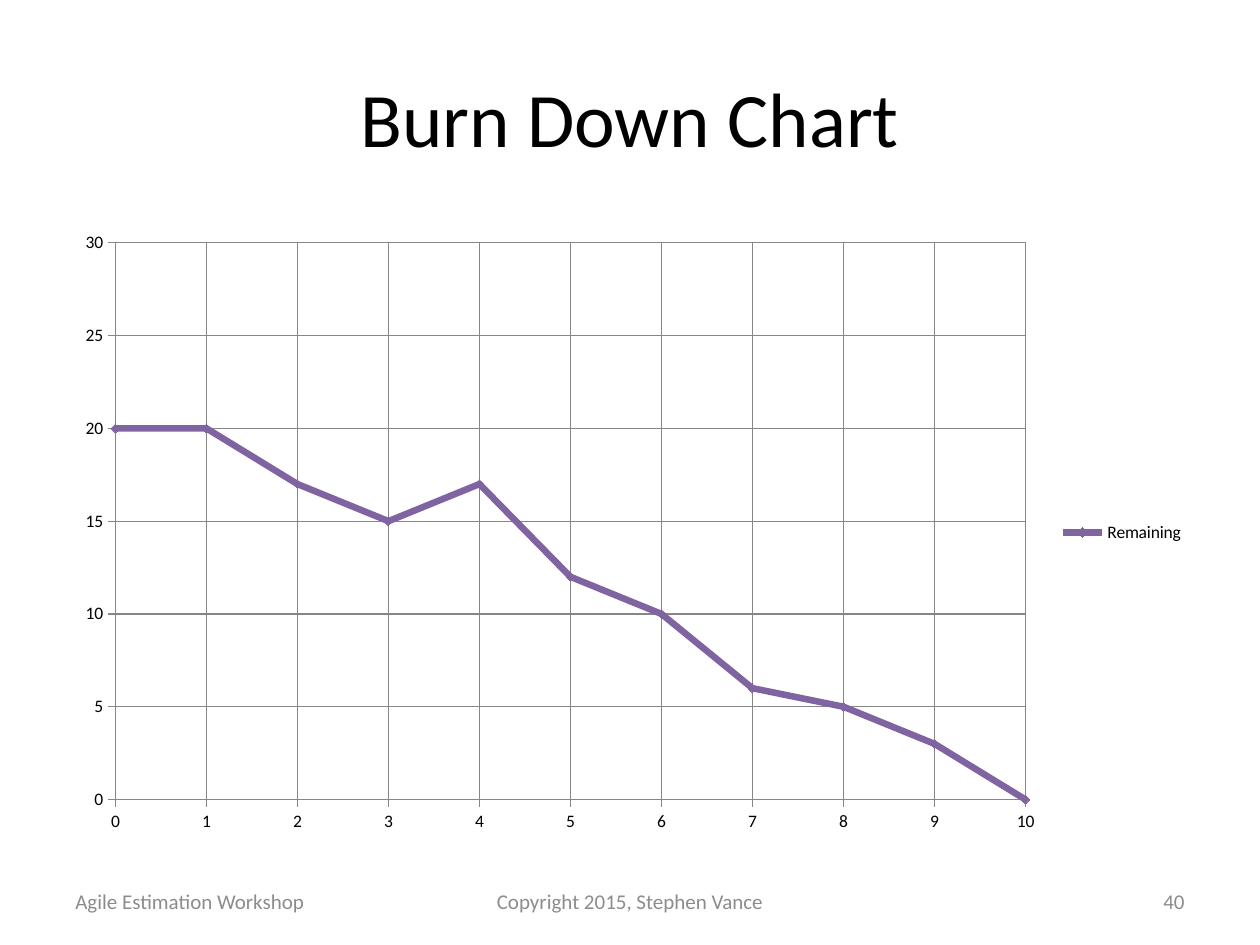
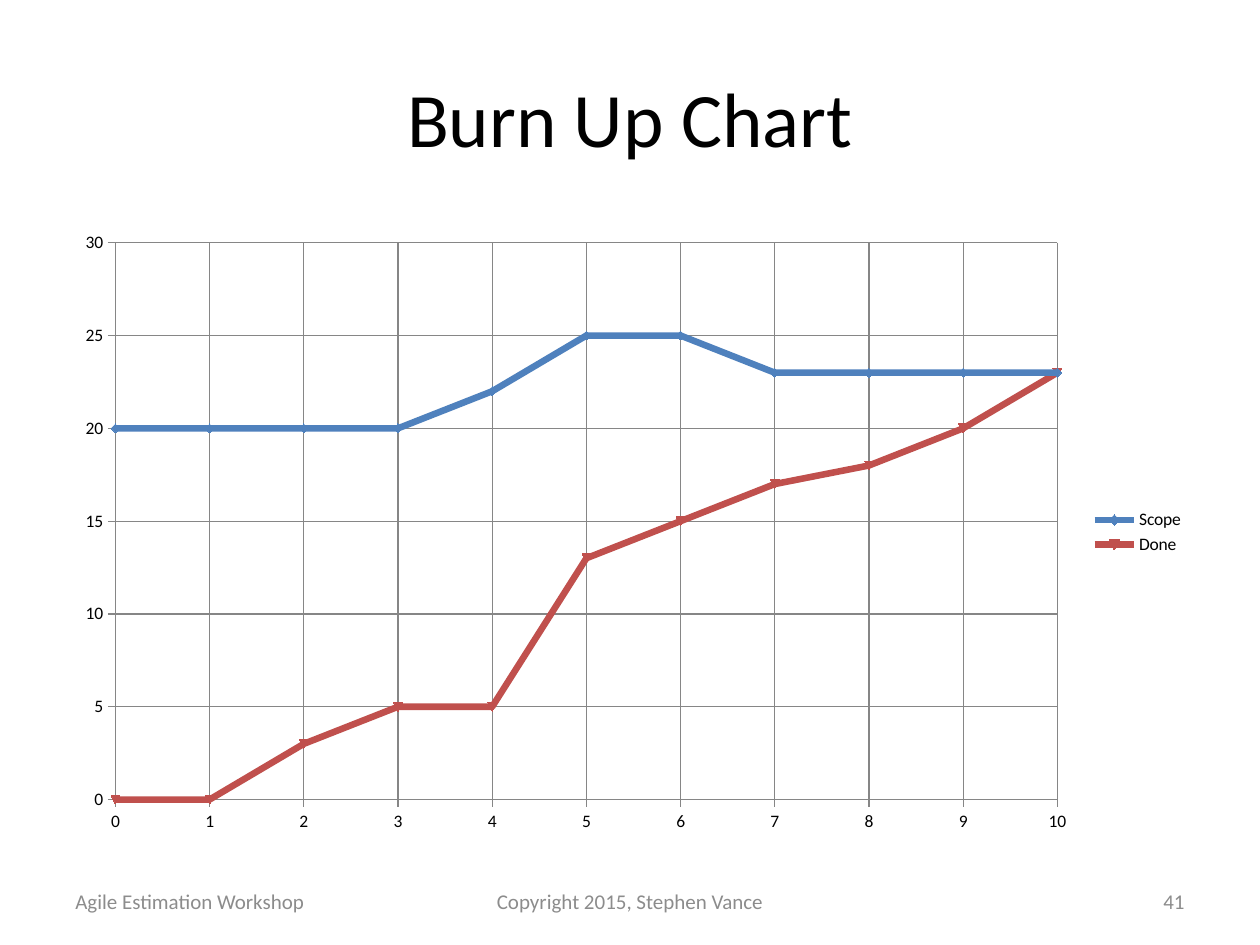
from pptx import Presentation
from pptx import util as u
from pptx.chart.data import XyChartData
from pptx.dml.color import RGBColor
from pptx.enum import chart as ch
from pptx.enum import text as t

FONT = "Calibri"
BLACK = RGBColor(0x00, 0x00, 0x00)
FOOTER_GRAY = RGBColor(0x8C, 0x8C, 0x8C)
GRID_GRAY = RGBColor(0x86, 0x86, 0x86)
PURPLE = RGBColor(0x80, 0x64, 0xA2)
BLUE = RGBColor(0x4F, 0x81, 0xBD)
RED = RGBColor(0xC0, 0x50, 0x4D)

WIDTH, HEIGHT = 10, 7.5
MARGIN = 0.5
CONTENT_WIDTH = WIDTH - 2 * MARGIN
FOOTER_TOP, FOOTER_HEIGHT = 6.95, 0.4
SIDE_FOOTER_WIDTH, MID_FOOTER_WIDTH = 2.33, 3.17

FIRST_PAGE = 40
BURN_CHARTS = [
    ("Burn Down Chart", [
        ("Remaining", PURPLE, [20, 20, 17, 15, 17, 12, 10, 6, 5, 3, 0]),
    ]),
    ("Burn Up Chart", [
        ("Scope", BLUE, [20, 20, 20, 20, 22, 25, 25, 23, 23, 23, 23]),
        ("Done", RED, [0, 0, 3, 5, 5, 13, 15, 17, 18, 20, 23]),
    ]),
]


def inches(*lengths):
    return [u.Inches(length) for length in lengths]


def add_text(slide, words, box, size=12, color=FOOTER_GRAY,
             align=t.PP_ALIGN.LEFT):
    frame = slide.shapes.add_textbox(*inches(*box)).text_frame
    frame.word_wrap = True
    frame.vertical_anchor = t.MSO_ANCHOR.MIDDLE
    paragraph = frame.paragraphs[0]
    paragraph.text = words
    paragraph.alignment = align
    font = paragraph.font
    font.name, font.size = FONT, u.Pt(size)
    font.color.rgb = color


def add_title(slide, title):
    add_text(slide, title, (MARGIN, 0.3, CONTENT_WIDTH, 1.25),
             size=44, color=BLACK, align=t.PP_ALIGN.CENTER)


def add_footer(slide, page):
    parts = [
        ("Agile Estimation Workshop", MARGIN, SIDE_FOOTER_WIDTH,
         t.PP_ALIGN.LEFT),
        ("Copyright 2015, Stephen Vance", (WIDTH - MID_FOOTER_WIDTH) / 2,
         MID_FOOTER_WIDTH, t.PP_ALIGN.CENTER),
        (str(page), WIDTH - MARGIN - SIDE_FOOTER_WIDTH, SIDE_FOOTER_WIDTH,
         t.PP_ALIGN.RIGHT),
    ]
    for words, left, width, align in parts:
        add_text(slide, words, (left, FOOTER_TOP, width, FOOTER_HEIGHT),
                 align=align)


def style_axis(axis, maximum, step):
    axis.minimum_scale, axis.maximum_scale = 0, maximum
    axis.major_unit = step
    axis.major_tick_mark = ch.XL_TICK_MARK.OUTSIDE
    axis.minor_tick_mark = ch.XL_TICK_MARK.NONE
    axis.has_major_gridlines = True
    for line in (axis.format.line, axis.major_gridlines.format.line):
        line.color.rgb = GRID_GRAY
        line.width = u.Pt(0.75)


def add_burn_chart(slide, tracks):
    """Plot each track's story points against the day, counted from 0."""
    data = XyChartData(number_format="General")
    for name, _, points in tracks:
        series = data.add_series(name)
        for day, value in enumerate(points):
            series.add_data_point(day, value)
    chart = slide.shapes.add_chart(
        ch.XL_CHART_TYPE.XY_SCATTER_LINES,
        *inches(MARGIN, 1.75, CONTENT_WIDTH, 4.95), data).chart
    chart.has_title = False
    chart.font.name, chart.font.size = FONT, u.Pt(10)
    chart.font.color.rgb = BLACK
    chart.has_legend = True
    chart.legend.position = ch.XL_LEGEND_POSITION.RIGHT
    chart.legend.include_in_layout = False
    style_axis(chart.category_axis, maximum=10, step=1)
    style_axis(chart.value_axis, maximum=30, step=5)
    plot = chart.plots[0]
    plot.vary_by_categories = False
    for series, (_, color, _) in zip(plot.series, tracks):
        series.smooth = False
        series.format.line.color.rgb = color
        series.format.line.width = u.Pt(3.75)


def main():
    deck = Presentation()
    deck.slide_width, deck.slide_height = inches(WIDTH, HEIGHT)
    blank = deck.slide_layouts[6]
    for page, (title, tracks) in enumerate(BURN_CHARTS, FIRST_PAGE):
        slide = deck.slides.add_slide(blank)
        add_title(slide, title)
        add_footer(slide, page)
        add_burn_chart(slide, tracks)
    deck.save("out.pptx")


if __name__ == "__main__":
    main()
